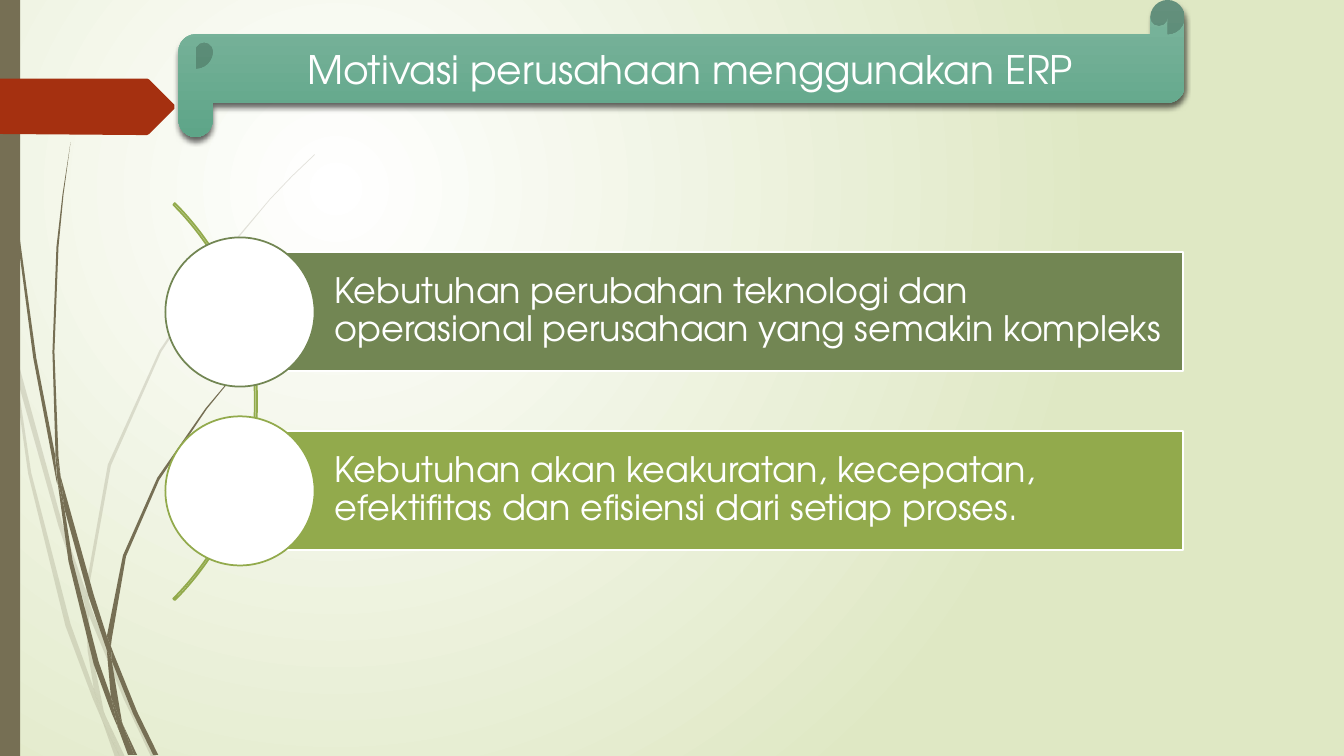
from lxml.etree import SubElement
from pptx import Presentation
from pptx.dml.color import RGBColor
from pptx.enum.dml import MSO_FILL
from pptx.enum.shapes import MSO_SHAPE
from pptx.enum.text import MSO_ANCHOR, PP_ALIGN
from pptx.oxml.ns import qn
from pptx.util import Inches, Pt

COLORS = {
    "white": "FFFFFF",
    "mist": "DFE8C4",
    "bark": "766F54",
    "red": "A53010",
    "moss": "728653",
    "lime": "92AA4C",
    "mint": "7DB59D",
    "jade": "5EA588",
    "black": "000000",
}
COLUMNS, ROWS = 1333, 750

PALE_GRASS = [
    "11,350 9,322 0,282 0,299 10,344",
    "58,522 84,599 85,586 62,520 14,345 17,376",
    "92,607 88,596 88,610 123,694 150,751 155,751 127,692",
    "119,751 124,751 105,711",
    "93,683 70,619 31,469 17,376 11,350 28,470 65,621 92,693 101,714 99,707",
    "84,599 87,646 93,683 96,692 105,711 103,706 91,646 88,610 88,608",
    "88,584 110,462 160,349 229,245 268,198 290,175 312,154 312,153 289,175 "
    "268,197 228,244 158,348 107,461 85,584 85,586 88,596",
    "101,714 114,751 119,751",
    "88,608 88,610 88,596 85,586 84,599",
    "96,692 93,683 99,707 101,714 119,751 105,711",
]
DARK_GRASS = [
    "7,110 17,233 33,355 56,477 57,481 55,457 55,453 36,355 19,232 8,109 5,48 "
    "4,0 3,0 4,48",
    "88,592 106,645 106,633 106,631 93,590 60,472 64,505",
    "113,649 110,641 111,656 132,708 152,749 157,749 136,706",
    "110,691 98,657 72,556 64,505 57,477 68,557 93,659 111,708 117,722 116,717",
    "60,472 58,453 54,349 58,245 63,193 70,141 62,193 56,245 52,349 55,449",
    "133,749 136,749 122,719",
    "57,477 64,505 60,472 55,449 55,453",
    "111,633 125,552 158,476 205,406 231,374 245,359 261,344 260,344 245,358 "
    "231,373 204,405 156,474 122,551 106,631 110,641",
    "117,722 127,749 131,749",
    "106,645 110,691 116,706 122,719 121,716 111,656 109,651",
    "106,645 109,651 111,656 110,641 106,631 106,633",
    "116,706 110,691 116,717 117,722 130,749 133,749 122,719",
]
RED_POINTER = ("173,108 148,133 146,134 136,134 0,133 0,78 "
               "136,78 146,78 148,79 173,104")
MOTIVATIONS = [
    ("Kebutuhan perubahan teknologi dan operasional perusahaan yang semakin kompleks", "moss"),
    ("Kebutuhan akan keakuratan, kecepatan, efektifitas dan efisiensi dari setiap proses.", "lime"),
]


class Deck:
    font_name = "TeX Gyre Adventor"
    line_width = Pt(1.25)

    def __init__(self):
        self.presentation = Presentation()
        self.presentation.slide_width = Inches(13.33)
        self.presentation.slide_height = Inches(7.5)
        self.column = self.presentation.slide_width / COLUMNS
        self.row = self.presentation.slide_height / ROWS
        self.slide = self.presentation.slides.add_slide(self.presentation.slide_layouts[6])

    def color(self, key):
        return RGBColor.from_string(COLORS[key])

    def gradient(self, fill, keys):
        fill.gradient()
        for stop, key, position in zip(fill.gradient_stops, keys, (0, 1)):
            stop.color.rgb = self.color(key)
            stop.position = position

    def background(self, keys):
        fill = self.slide.background.fill
        self.gradient(fill, keys)
        grad = next(self.slide.element.iter(qn("a:gradFill")))
        grad.remove(grad.find(qn("a:lin")))
        circle = SubElement(grad, qn("a:path"), {"path": "circle"})
        SubElement(circle, qn("a:fillToRect"),
                   {"l": "50000", "t": "50000", "r": "100000", "b": "100000"})

    def paint(self, shape, fill=None, line=None, opacity=100):
        shape.shadow.inherit = False
        if isinstance(fill, tuple):
            self.gradient(shape.fill, fill)
            shape.fill.gradient_angle = 270
        elif fill:
            shape.fill.solid()
            shape.fill.fore_color.rgb = self.color(fill)
        else:
            shape.fill.background()
        if opacity < 100 and shape.fill.type == MSO_FILL.SOLID:
            tint = next(shape.element.spPr.iter(qn("a:srgbClr")))
            SubElement(tint, qn("a:alpha"), {"val": str(opacity * 1000)})
        if line:
            shape.line.color.rgb = self.color(line)
            shape.line.width = self.line_width
        else:
            shape.line.fill.background()

    def shape(self, kind, left, top, width, height, adjustments=(), **style):
        shape = self.slide.shapes.add_shape(
            kind, round(left * self.column), round(top * self.row),
            round(width * self.column), round(height * self.row))
        for index, value in enumerate(adjustments):
            shape.adjustments[index] = value
        self.paint(shape, **style)
        return shape

    def outline(self, corners, **style):
        points = [tuple(map(int, corner.split(","))) for corner in corners.split()]
        builder = self.slide.shapes.build_freeform(*points[0], scale=(self.column, self.row))
        builder.add_line_segments(points[1:], close=True)
        self.paint(builder.convert_to_shape(), **style)

    def text(self, shape, words, size, align, spacing=1.0, insets=(10, 5, 10, 5)):
        frame = shape.text_frame
        left, top, right, bottom = insets
        paragraph = frame.paragraphs[0]
        paragraph.text = words
        formats = {
            frame: {
                "word_wrap": True,
                "vertical_anchor": MSO_ANCHOR.MIDDLE,
                "margin_left": round(left * self.column),
                "margin_top": round(top * self.row),
                "margin_right": round(right * self.column),
                "margin_bottom": round(bottom * self.row),
            },
            paragraph: {"alignment": align, "line_spacing": spacing},
            paragraph.runs[0].font: {"name": self.font_name, "size": Pt(size)},
        }
        for target, values in formats.items():
            for attribute, value in values.items():
                setattr(target, attribute, value)
        paragraph.runs[0].font.color.rgb = self.color("white")

    def drop_shadow(self, shape, key, opacity, blur, distance):
        effects = shape.element.spPr.find(qn("a:effectLst"))
        shadow = SubElement(effects, qn("a:outerShdw"), {
            "blurRad": str(Pt(blur)), "dist": str(Pt(distance)),
            "dir": "5400000", "rotWithShape": "0"})
        tint = SubElement(shadow, qn("a:srgbClr"), {"val": COLORS[key]})
        SubElement(tint, qn("a:alpha"), {"val": str(opacity * 1000)})

    def save(self):
        self.presentation.save("out.pptx")


def main():
    deck = Deck()
    deck.background(("white", "mist"))

    for blades, opacity in ((PALE_GRASS, 20), (DARK_GRASS, 100)):
        for blade in blades:
            deck.outline(blade, fill="bark", opacity=opacity)
    deck.shape(MSO_SHAPE.RECTANGLE, 0, 0, 20, ROWS, fill="bark")
    deck.outline(RED_POINTER, fill="red")

    deck.shape(MSO_SHAPE.BLOCK_ARC, -302, 120, 557, 557, (189, 27, 0.004), line="lime")
    for index, (motivation, accent) in enumerate(MOTIVATIONS):
        offset = index * 177.5
        bar = deck.shape(MSO_SHAPE.RECTANGLE, 238, 250 + offset, 935, 118,
                         fill=accent, line="white")
        deck.text(bar, motivation, 25, PP_ALIGN.LEFT, 0.9, (94, 7, 7, 7))
        deck.shape(MSO_SHAPE.OVAL, 164, 235.5 + offset, 148, 148, fill="white", line=accent)

    title = deck.shape(MSO_SHAPE.HORIZONTAL_SCROLL, 177, 0, 998, 136, (0.25,),
                       fill=("mint", "jade"))
    deck.drop_shadow(title, "black", 60, 4, 3)
    deck.text(title, "Motivasi perusahaan menggunakan ERP", 28, PP_ALIGN.CENTER)
    deck.save()


if __name__ == "__main__":
    main()
